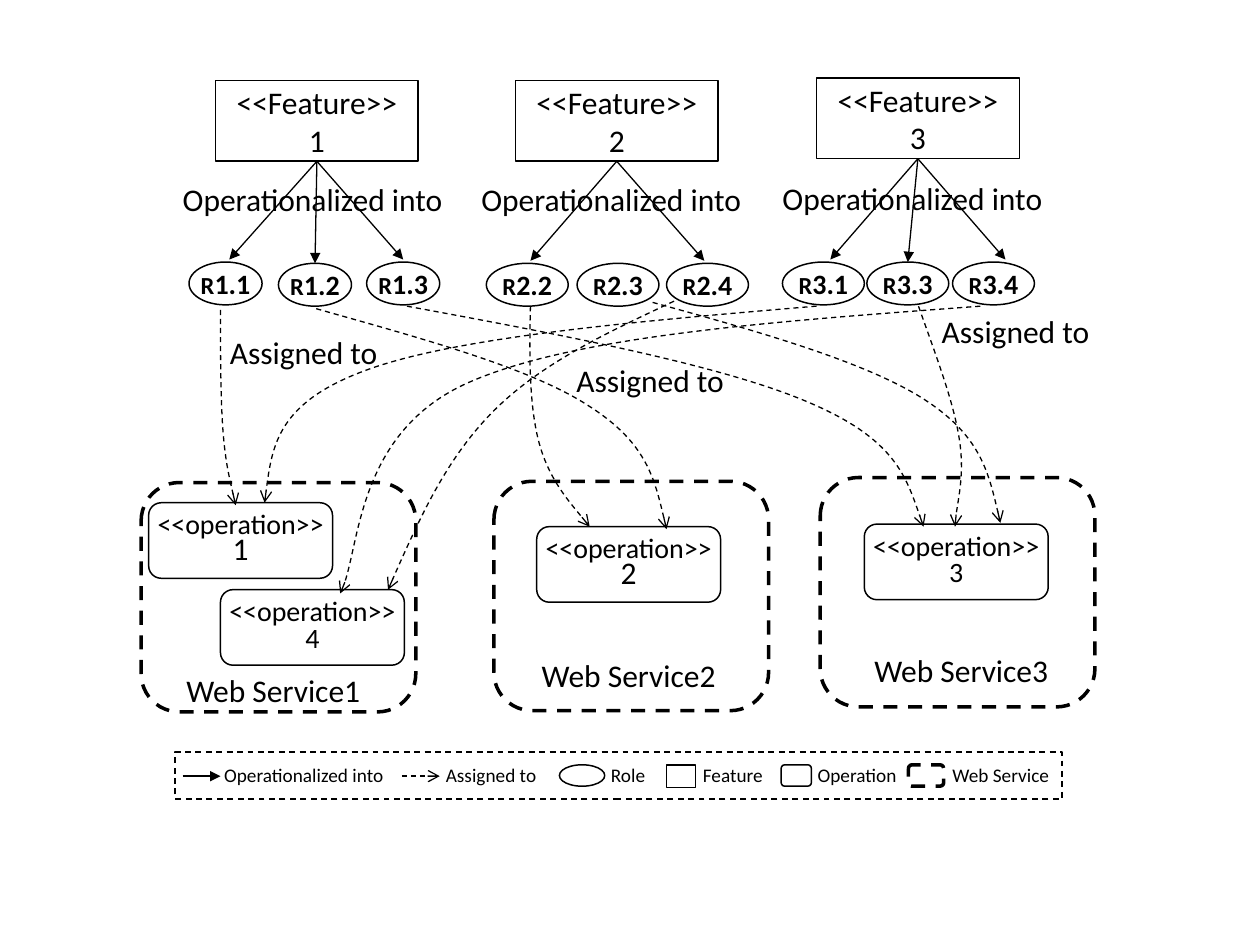
from pptx import Presentation
from pptx.dml.color import RGBColor
from pptx.enum.dml import MSO_LINE
from pptx.enum.shapes import MSO_CONNECTOR, MSO_SHAPE
from pptx.enum.text import MSO_ANCHOR, MSO_AUTO_SIZE, PP_ALIGN
from pptx.oxml.ns import qn
from pptx.util import Inches, Pt
from lxml.etree import SubElement

COLORS = {"ink": "000000", "paper": "FFFFFF"}
FONT = "Calibri"
THIN, OUTLINE, HEAVY = 0.75, 0.85, 2
BOTTOM, TOP = 2, 0

# Features: number, left, top, label left, label top
FEATURES = [
    (1, 1.71, 0.64, 1.31, 1.38),
    (2, 4.09, 0.64, 3.68, 1.38),
    (3, 6.48, 0.62, 6.07, 1.37),
]
# Roles: name, left, top, width, arrow end (None: top of the ellipse, False: no arrow)
ROLES = [
    ("1.1", 1.5, 2.08, 0.58, (1.82, 2.06)),
    ("1.2", 2.21, 2.09, 0.58, None),
    ("1.3", 2.91, 2.08, 0.58, (3.2, 2.06)),
    ("2.2", 3.86, 2.09, 0.65, (4.21, 2.07)),
    ("2.3", 4.58, 2.09, 0.65, False),
    ("2.4", 5.29, 2.09, 0.65, (5.59, 2.07)),
    ("3.1", 6.21, 2.08, 0.65, (6.59, 2.06)),
    ("3.3", 6.88, 2.08, 0.65, None),
    ("3.4", 7.56, 2.08, 0.65, (7.98, 2.06)),
]
# Web services: number, left, top, label left, label top
SERVICES = [
    (1, 1.12, 3.83, 1.37, 5.28),
    (2, 3.92, 3.82, 4.19, 5.16),
    (3, 6.51, 3.79, 6.83, 5.12),
]
# Operations: number, left, top, number size
OPERATIONS = [(1, 1.18, 3.99, 18), (4, 1.75, 4.68, 16), (2, 4.26, 4.18, 18), (3, 6.86, 4.16, 16)]
# Assignments: start point, then two Bezier segments of three points each
ASSIGNMENTS = [
    [(1.75, 2.46), (1.75, 2.81), (1.75, 3.16), (1.77, 3.42), (1.79, 3.68), (1.85, 3.92), (1.87, 4.01)],
    [(2.51, 2.45), (3.36, 2.69), (4.21, 2.92), (4.67, 3.22), (5.13, 3.51), (5.21, 3.85), (5.29, 4.2)],
    [(3.23, 2.43), (4.48, 2.66), (5.73, 2.9), (6.41, 3.19), (7.1, 3.48), (7.21, 3.83), (7.33, 4.18)],
    [(4.21, 2.43), (4.2, 2.83), (4.2, 3.23), (4.28, 3.52), (4.36, 3.81), (4.6, 4.08), (4.68, 4.18)],
    [(5.18, 2.4), (6.02, 2.63), (6.86, 2.87), (7.32, 3.16), (7.78, 3.45), (7.86, 3.8), (7.94, 4.15)],
    [(6.48, 2.43), (5.07, 2.55), (3.66, 2.67), (2.93, 2.93), (2.2, 3.19), (2.15, 3.59), (2.1, 3.99)],
    [(5.35, 2.39), (4.82, 2.64), (4.3, 2.88), (3.92, 3.26), (3.54, 3.64), (3.31, 4.16), (3.08, 4.68)],
    [(7.29, 2.43), (7.42, 2.8), (7.56, 3.16), (7.61, 3.46), (7.66, 3.75), (7.58, 4.07), (7.58, 4.18)],
    [(7.78, 2.43), (6.17, 2.55), (4.56, 2.66), (3.71, 3.04), (2.86, 3.42), (2.85, 4.43), (2.7, 4.71)],
]
ASSIGNED_LABELS = [(1.7, 2.59), (4.45, 2.82), (7.35, 2.43)]
# Legend: text, left, width
LEGEND_TEXTS = [
    ("Operationalized into", 1.68, 1.66),
    ("Assigned to", 3.44, 1.1),
    ("Role", 4.75, 0.87),
    ("Feature", 5.48, 0.87),
    ("Operation", 6.39, 0.87),
    ("Web Service", 7.46, 1.08),
]
# Legend samples: kind, left, width, height, line width, dashed
LEGEND_SHAPES = [
    (MSO_SHAPE.OVAL, 4.44, 0.36, 0.17, OUTLINE, False),
    (MSO_SHAPE.RECTANGLE, 5.29, 0.23, 0.18, OUTLINE, False),
    (MSO_SHAPE.ROUNDED_RECTANGLE, 6.2, 0.24, 0.17, OUTLINE, False),
    (MSO_SHAPE.ROUNDED_RECTANGLE, 7.21, 0.28, 0.17, HEAVY, True),
]


def color(name):
    return RGBColor.from_string(COLORS[name])


def set_line(shape, width, dashed=False, arrowhead=None):
    shape.line.color.rgb = color("ink")
    shape.line.width = Pt(width)
    if dashed:
        shape.line.dash_style = MSO_LINE.DASH
    if arrowhead:
        SubElement(shape._element.spPr.find(qn("a:ln")), qn("a:tailEnd"), type=arrowhead)


def write(frame, paragraphs, align=PP_ALIGN.CENTER, spacing=None):
    """Each paragraph is a list of (text, size, bold) runs."""
    for index, runs in enumerate(paragraphs):
        paragraph = frame.add_paragraph() if index else frame.paragraphs[0]
        paragraph.alignment = align
        if spacing:
            paragraph.line_spacing = Pt(spacing)
        for text, size, bold in runs:
            run = paragraph.add_run()
            run.text = text
            for name, value in {"name": FONT, "size": Pt(size), "bold": bold}.items():
                setattr(run.font, name, value)
            run.font.color.rgb = color("ink")


def add_box(slide, kind, box, width=OUTLINE, dashed=False, filled=True):
    shape = slide.shapes.add_shape(kind, *map(Inches, box))
    shape.shadow.inherit = False
    if filled:
        shape.fill.solid()
        shape.fill.fore_color.rgb = color("paper")
    else:
        shape.fill.background()
    set_line(shape, width, dashed)
    return shape


def fill_text(shape, paragraphs, side_margin=0, spacing=None):
    frame_format = {
        "vertical_anchor": MSO_ANCHOR.MIDDLE,
        "word_wrap": True,
        "margin_left": Inches(side_margin),
        "margin_right": Inches(side_margin),
    }
    for name, value in frame_format.items():
        setattr(shape.text_frame, name, value)
    write(shape.text_frame, paragraphs, spacing=spacing)


def add_label(slide, text, box, size=18, align=PP_ALIGN.CENTER, wrap=False):
    frame = slide.shapes.add_textbox(*map(Inches, box)).text_frame
    frame.word_wrap = wrap
    frame.auto_size = MSO_AUTO_SIZE.SHAPE_TO_FIT_TEXT
    write(frame, [[(text, size, False)]], align)


def add_arrow(slide, start, end, dashed=False, arrowhead="triangle"):
    connector = slide.shapes.add_connector(MSO_CONNECTOR.STRAIGHT, *map(Inches, start + end))
    set_line(connector, THIN, dashed, arrowhead)
    SubElement(connector._element.spPr, qn("a:effectLst"))
    return connector


def add_curve(slide, points):
    """Draw the control polygon, then regroup its points as cubic segments."""
    start, *others = [(Inches(x), Inches(y)) for x, y in points]
    builder = slide.shapes.build_freeform(*start)
    builder.add_line_segments(others, close=False)
    shape = builder.convert_to_shape()
    path = shape._element.find(".//" + qn("a:path"))
    lines = path.findall(qn("a:lnTo"))
    for first in range(0, len(lines), 3):
        curve = SubElement(path, qn("a:cubicBezTo"))
        for line in lines[first:first + 3]:
            curve.append(line[0])
            path.remove(line)
    shape.shadow.inherit = False
    shape.fill.background()
    set_line(shape, THIN, True, "arrow")


def add_legend(slide):
    add_box(slide, MSO_SHAPE.RECTANGLE, (1.39, 5.97, 7.04, 0.37), dashed=True, filled=False)
    add_arrow(slide, (1.45, 6.16), (1.75, 6.16))
    add_arrow(slide, (3.19, 6.16), (3.49, 6.16), True, "arrow")
    for kind, left, width, height, line_width, dashed in LEGEND_SHAPES:
        add_box(slide, kind, (left, 6.07, width, height), line_width, dashed)
    for text, left, width in LEGEND_TEXTS:
        add_label(slide, text, (left, 6.01, width, 0.29), 11, PP_ALIGN.LEFT, True)


def main():
    presentation = Presentation()
    presentation.slide_width, presentation.slide_height = Inches(10), Inches(7.5)
    slide = presentation.slides.add_slide(presentation.slide_layouts[6])

    # Features
    features = {}
    for number, left, top, label_left, label_top in FEATURES:
        feature = add_box(slide, MSO_SHAPE.RECTANGLE, (left, top, 1.61, 0.64))
        fill_text(feature, [[("<<Feature>>", 18, False)], [(str(number), 18, False)]], 0.1)
        add_label(slide, "Operationalized into ", (label_left, label_top, 2.4, 0.4))
        features[str(number)] = feature

    # Roles and the arrows that lead to them
    for name, left, top, width, end in ROLES:
        role = add_box(slide, MSO_SHAPE.OVAL, (left, top, width, 0.34))
        fill_text(role, [[("R", 14, True), (name, 16, True)]])
        if end is not False:
            arrow = add_arrow(slide, (left, top), end or (left, top))
            arrow.begin_connect(features[name[0]], BOTTOM)
            if end is None:
                arrow.end_connect(role, TOP)

    # Web services and their operations
    for number, left, top, label_left, label_top in SERVICES:
        add_box(slide, MSO_SHAPE.ROUNDED_RECTANGLE, (left, top, 2.18, 1.82), HEAVY, True)
        add_label(slide, f"Web Service{number}", (label_left, label_top, 1.6, 0.4))
    for number, left, top, size in OPERATIONS:
        operation = add_box(slide, MSO_SHAPE.ROUNDED_RECTANGLE, (left, top, 1.46, 0.6))
        fill_text(operation, [[("<<operation>>", 16, False)], [(str(number), size, False)]], spacing=15)

    # Assignments
    for points in ASSIGNMENTS:
        add_curve(slide, points)
    for left, top in ASSIGNED_LABELS:
        add_label(slide, "Assigned to", (left, top, 1.42, 0.4))

    add_legend(slide)
    presentation.save("out.pptx")


if __name__ == "__main__":
    main()
